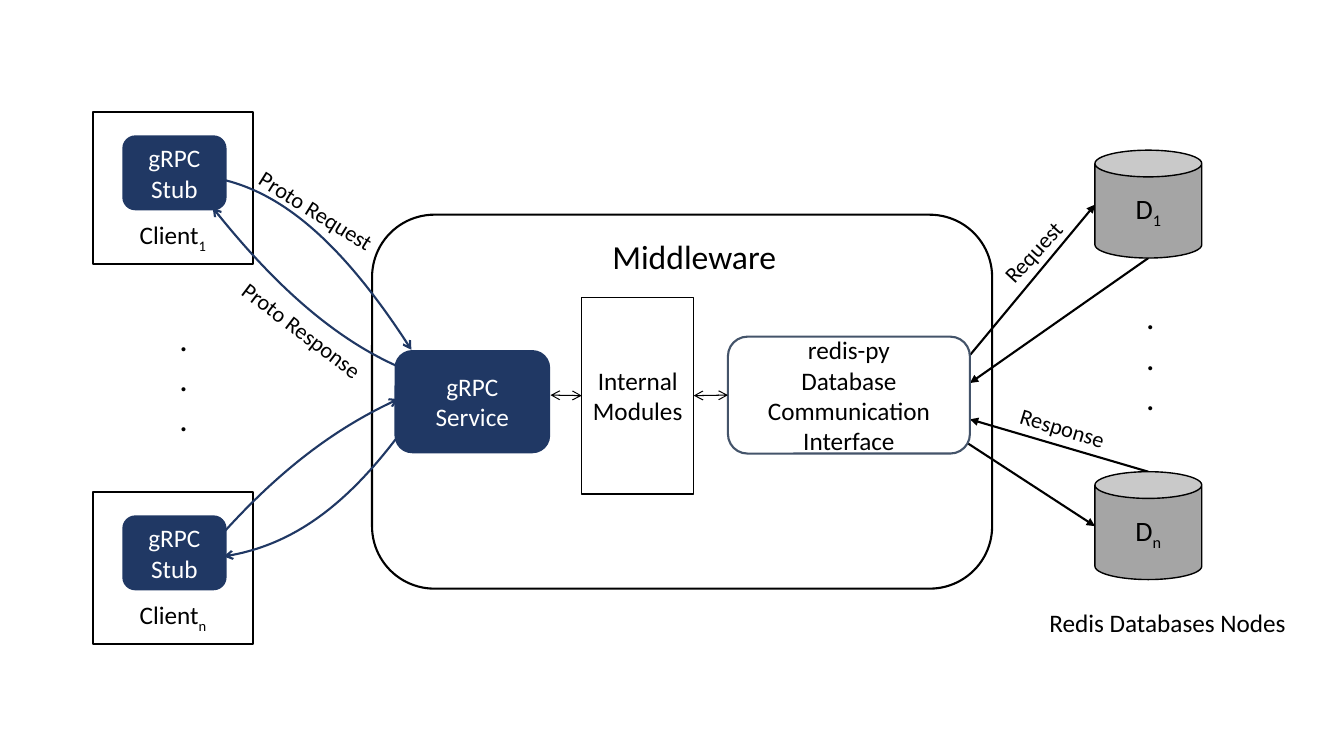
from pptx import Presentation, util as u
from pptx.dml.color import RGBColor
from pptx.enum import shapes as s, text as t
from pptx.oxml import ns, xmlchemy as x

COLS, ROWS = 133.3, 75
CELL = u.Inches(0.1)
FONT = "Calibri"
NAVY, BLACK, WHITE, GREY, SLATE = "203864", "000000", "FFFFFF", "A5A5A5", "44546A"
KIND = s.MSO_SHAPE


def grid(*cells):
    return [u.Emu(round(c * CELL)) for c in cells]


def paint(part, color):
    part.solid()
    part.fore_color.rgb = RGBColor.from_string(color)


def stroke(item, color, width):
    paint(item.line.fill, color)
    item.line.width = u.Pt(width)


def tip(item, kind, ends):
    line = item.line._get_or_add_ln()
    for end in ends:
        mark = x.OxmlElement(f"a:{end}")
        mark.set("type", kind)
        line.append(mark)


def write(frame, words, size, color, align, sub=""):
    frame.text = words
    if sub:
        run = frame.paragraphs[0].add_run()
        run.text = sub
        run._r.get_or_add_rPr().set("baseline", "-25000")
    for para in frame.paragraphs:
        para.alignment = align
        for run in para.runs:
            run.font.name = FONT
            run.font.size = u.Pt(size)
            run.font.color.rgb = RGBColor.from_string(color)


def box(slide, kind, at, fill, edge, width, words="", size=18, color=BLACK, sub=""):
    shape = slide.shapes.add_shape(kind, *grid(*at))
    shape.shadow.inherit = False
    paint(shape.fill, fill)
    stroke(shape, edge, width)
    frame = shape.text_frame
    frame.word_wrap = True
    frame.vertical_anchor = t.MSO_ANCHOR.MIDDLE
    if words:
        write(frame, words, size, color, t.PP_ALIGN.CENTER, sub)
    return shape


def label(slide, at, words, size, turn=0, wrap=True, align=t.PP_ALIGN.LEFT):
    area = slide.shapes.add_textbox(*grid(*at))
    area.rotation = turn
    area.text_frame.word_wrap = wrap
    write(area.text_frame, words, size, BLACK, align)


def arrow(slide, start, stop, kind="triangle", width=1.5, ends=("tailEnd",)):
    line = slide.shapes.add_connector(s.MSO_CONNECTOR.STRAIGHT, *grid(*start, *stop))
    stroke(line, BLACK, width)
    tip(line, kind, ends)
    line._element.spPr.append(x.OxmlElement("a:effectLst"))
    return line


def curve(slide, start, *points):
    maker = slide.shapes.build_freeform(*grid(*start))
    maker.add_line_segments([grid(*p) for p in points], close=False)
    shape = maker.convert_to_shape()
    shape.shadow.inherit = False
    shape.fill.background()
    stroke(shape, NAVY, 1.5)
    tip(shape, "arrow", ["tailEnd"])
    route = next(shape._element.iter(ns.qn("a:path")))
    bend = x.OxmlElement("a:cubicBezTo")
    for step in route.findall(ns.qn("a:lnTo")):
        bend.append(step[0])
        route.remove(step)
    route.append(bend)


def client(slide, top, sub):
    frame = box(slide, KIND.RECTANGLE, (9.2, top, 15.9, 15.1), WHITE, BLACK, 1.5,
                "Client", sub=sub).text_frame
    frame.vertical_anchor = t.MSO_ANCHOR.BOTTOM
    frame.margin_bottom = CELL
    box(slide, KIND.ROUNDED_RECTANGLE, (12.2, top + 2.4, 10.2, 7.3), NAVY, NAVY, 1,
        "gRPC Stub", color=WHITE)


def middle(slide):
    box(slide, KIND.ROUNDED_RECTANGLE, (39.2, 34.8, 15.3, 10.1), NAVY, NAVY, 1,
        "gRPC\nService", color=WHITE)
    redis = box(slide, KIND.ROUNDED_RECTANGLE, (72.2, 33.4, 24, 11.6), WHITE, SLATE, 1.5,
                "redis-py\nDatabase Communication Interface")
    inner = box(slide, KIND.RECTANGLE, (57.7, 29.5, 11.1, 19.5), WHITE, BLACK, 1,
                "Internal Modules")
    both = ("headEnd", "tailEnd")
    left = arrow(slide, (54.6, 39.2), (57.7, 39.2), "arrow", 0.75, both)
    left.end_connect(inner, 1)
    right = arrow(slide, (68.8, 39.2), (72.2, 39.2), "arrow", 0.75, both)
    right.begin_connect(inner, 3)
    right.end_connect(redis, 1)


def main():
    deck = Presentation()
    deck.slide_width, deck.slide_height = grid(COLS, ROWS)
    slide = deck.slides.add_slide(deck.slide_layouts[6])

    for top, sub in ((11.1, "1"), (48.8, "n")):
        client(slide, top, sub)
    box(slide, KIND.ROUNDED_RECTANGLE, (36.9, 21.3, 61.5, 37.1), WHITE, BLACK, 1.5)
    label(slide, (59.4, 22.9, 18.9, 5), "Middleware", 24, wrap=False,
          align=t.PP_ALIGN.CENTER)

    for start, stop in (((95.4, 36.2), (108.6, 20.3)), ((113.9, 25.6), (96.2, 38)),
                        ((95.4, 43.6), (108.6, 52.2)), ((113.9, 46.8), (96.2, 41.6))):
        arrow(slide, start, stop)
    middle(slide)
    for points in (((22, 17.8), (28.1, 19.2), (34.2, 24.4), (40.8, 34.7)),
                   ((39.8, 36.5), (32.8, 33.5), (26.4, 27.3), (21.1, 20.6)),
                   ((39.9, 42.7), (34.6, 49.9), (28.9, 54.2), (22.2, 55.2)),
                   ((21.4, 53.7), (27.9, 46.3), (34.2, 42), (39.5, 39.6))):
        curve(slide, *points)

    for top, sub in ((14.9, "1"), (46.8, "n")):
        box(slide, KIND.CAN, (108.6, top, 10.6, 10.7), GREY, BLACK, 1, "D", 20, sub=sub)
    for left, top in ((16.8, 31), (112.7, 28.9)):
        label(slide, (left, top, 3.9, 17.5), ".\n.\n.", 24)
    label(slide, (103.1, 59.8, 25.8, 4), "Redis Databases Nodes", 18)
    label(slide, (24, 19.1, 14.9, 3.7), "Proto Request", 16, 32, False)
    label(slide, (21.9, 31, 16.3, 3.7), "Proto Response", 16, 37.2, False)
    label(slide, (97.8, 23.1, 9.4, 3.7), "Request", 16, 312.5)
    label(slide, (100.1, 40.6, 10.7, 3.7), "Response", 16, 16.8)
    deck.save("out.pptx")


if __name__ == "__main__":
    main()
